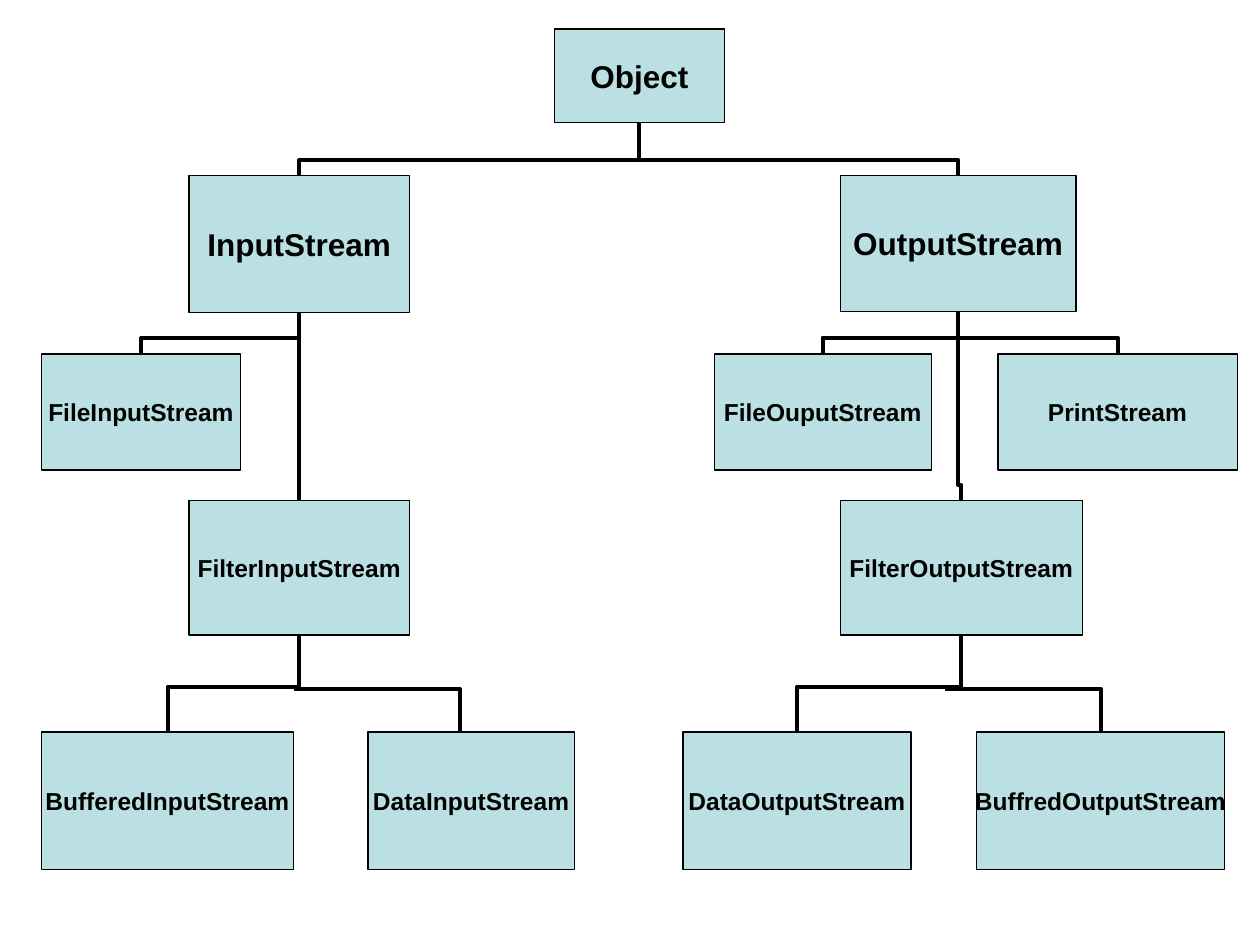
from dataclasses import dataclass

from lxml import etree
from pptx import Presentation
from pptx.dml.color import RGBColor
from pptx.enum import shapes, text
from pptx.oxml.ns import qn
from pptx.util import Inches, Pt


@dataclass(frozen=True)
class Theme:
    fill: RGBColor = RGBColor(0xBB, 0xE0, 0xE3)
    ink: RGBColor = RGBColor(0, 0, 0)
    font: str = "Arial"
    large: int = 18
    small: int = 14
    border: float = 0.75
    rail: float = 2.25


@dataclass(frozen=True)
class Box:
    name: str
    left: float
    top: float
    width: float
    height: float
    size: int = Theme.small
    inset: float = 0.05

    @property
    def center(self) -> float:
        return self.left + self.width / 2

    @property
    def bottom(self) -> float:
        return self.top + self.height


@dataclass(frozen=True)
class Link:
    parent: str
    child: str
    rail: float  # height of the horizontal run


@dataclass(frozen=True)
class Branch:
    left: float
    rail: float
    right: float
    bottom: float


THEME = Theme()

# Rows of the class tree
ROOT, STREAMS, FILES, FILTERS, LEAVES = 0.23, 1.39, 2.81, 3.97, 5.81

BOXES = [
    Box("Object", 4.4, ROOT, 1.35, 0.74, THEME.large),
    Box("InputStream", 1.5, STREAMS, 1.75, 1.09, THEME.large),
    Box("OutputStream", 6.67, STREAMS, 1.87, 1.08, THEME.large),
    Box("FileInputStream", 0.33, FILES, 1.58, 0.92),
    Box("FilterInputStream", 1.5, FILTERS, 1.75, 1.07),
    Box("BufferedInputStream", 0.33, LEAVES, 2, 1.09),
    Box("DataInputStream", 2.92, LEAVES, 1.64, 1.09),
    Box("FileOuputStream", 5.67, FILES, 1.72, 0.92, inset=0.06),
    Box("FilterOutputStream", 6.67, FILTERS, 1.92, 1.07, inset=0.06),
    Box("PrintStream", 7.92, FILES, 1.9, 0.92, inset=0.08),
    Box("BuffredOutputStream", 7.75, LEAVES, 1.97, 1.09, inset=0.1),
    Box("DataOutputStream", 5.42, LEAVES, 1.81, 1.09, inset=0.1),
]

LINKS = [
    Link("Object", "InputStream", 1.27),
    Link("Object", "OutputStream", 1.27),
    Link("InputStream", "FileInputStream", 2.68),
    Link("InputStream", "FilterInputStream", 2.68),
    Link("OutputStream", "FileOuputStream", 2.68),
    Link("OutputStream", "PrintStream", 2.68),
    Link("OutputStream", "FilterOutputStream", 3.85),
    Link("FilterInputStream", "BufferedInputStream", 5.45),
    Link("FilterOutputStream", "DataOutputStream", 5.45),
]

# Right-hand leaves hang from the rail itself
BRANCHES = [Branch(2.33, 5.47, 3.65, LEAVES), Branch(7.5, 5.47, 8.74, LEAVES)]


def write(tf, content: str, *, size: int, bold: bool = True) -> None:
    p = tf.paragraphs[0]
    p.alignment = text.PP_ALIGN.CENTER
    r = p.add_run()
    r.text = content
    r.font.name, r.font.size, r.font.bold = THEME.font, Pt(size), bold
    r.font.color.rgb = THEME.ink


def draw_box(s, box: Box):
    sp = s.shapes.add_shape(
        shapes.MSO_SHAPE.ROUNDED_RECTANGLE, Inches(box.left), Inches(box.top),
        Inches(box.width), Inches(box.height))
    sp.adjustments[0] = 0
    sp.shadow.inherit = False
    sp.fill.solid()
    sp.fill.fore_color.rgb = THEME.fill
    sp.line.color.rgb = THEME.ink
    sp.line.width = Pt(THEME.border)
    tf = sp.text_frame
    tf.word_wrap = False
    tf.vertical_anchor = text.MSO_ANCHOR.MIDDLE
    tf.margin_left = tf.margin_right = Inches(box.inset)
    tf.margin_top = tf.margin_bottom = Inches(box.inset / 2)
    write(tf, box.name, size=box.size)
    return sp


def add_line(s, kind, x1: float, y1: float, x2: float, y2: float):
    cxn = s.shapes.add_connector(kind, Inches(x1), Inches(y1), Inches(x2), Inches(y2))
    cxn.line.color.rgb = THEME.ink
    cxn.line.width = Pt(THEME.rail)
    etree.SubElement(cxn._element.spPr, qn("a:effectLst"))
    return cxn


def draw_link(s, link: Link, boxes: dict, drawn: dict) -> None:
    parent, child = boxes[link.parent], boxes[link.child]
    x1, y1, x2, y2 = parent.center, parent.bottom, child.center, child.top
    straight = x1 == x2
    kind = shapes.MSO_CONNECTOR.STRAIGHT if straight else shapes.MSO_CONNECTOR.ELBOW
    cxn = add_line(s, kind, x1, y1, x2, y2)
    cxn.begin_connect(drawn[link.parent], 2)
    cxn.end_connect(drawn[link.child], 0)
    if straight:
        return
    # Turn the elbow so that it leaves downwards: its length is the drop
    drop, span = y2 - y1, abs(x2 - x1)
    cxn.left = Inches((x1 + x2 - drop) / 2)
    cxn.top = Inches((y1 + y2 - span) / 2)
    cxn.width, cxn.height = Inches(drop), Inches(span)
    xfrm = cxn._element.spPr.find(qn("a:xfrm"))
    to_right = x2 > x1
    xfrm.set("rot", "16200000" if to_right else "5400000")
    xfrm.set("flipH", "1" if to_right else "0")
    xfrm.set("flipV", "0")
    av = cxn._element.spPr.find(qn("a:prstGeom")).find(qn("a:avLst"))
    share = round((link.rail - y1) / drop * 100000)
    etree.SubElement(av, qn("a:gd"), name="adj1", fmla=f"val {share}")


def draw_branch(s, b: Branch) -> None:
    cxn = add_line(s, shapes.MSO_CONNECTOR.ELBOW, b.left, b.rail, b.right, b.bottom)
    cxn._element.spPr.find(qn("a:prstGeom")).set("prst", "bentConnector2")


def main() -> None:
    prs = Presentation()
    prs.slide_width, prs.slide_height = Inches(10), Inches(7.5)
    s = prs.slides.add_slide(prs.slide_layouts[6])

    # Class boxes
    boxes = {box.name: box for box in BOXES}
    drawn = {box.name: draw_box(s, box) for box in BOXES}

    # Inheritance lines
    for link in LINKS:
        draw_link(s, link, boxes, drawn)
    for branch in BRANCHES:
        draw_branch(s, branch)

    prs.save("out.pptx")


if __name__ == "__main__":
    main()
